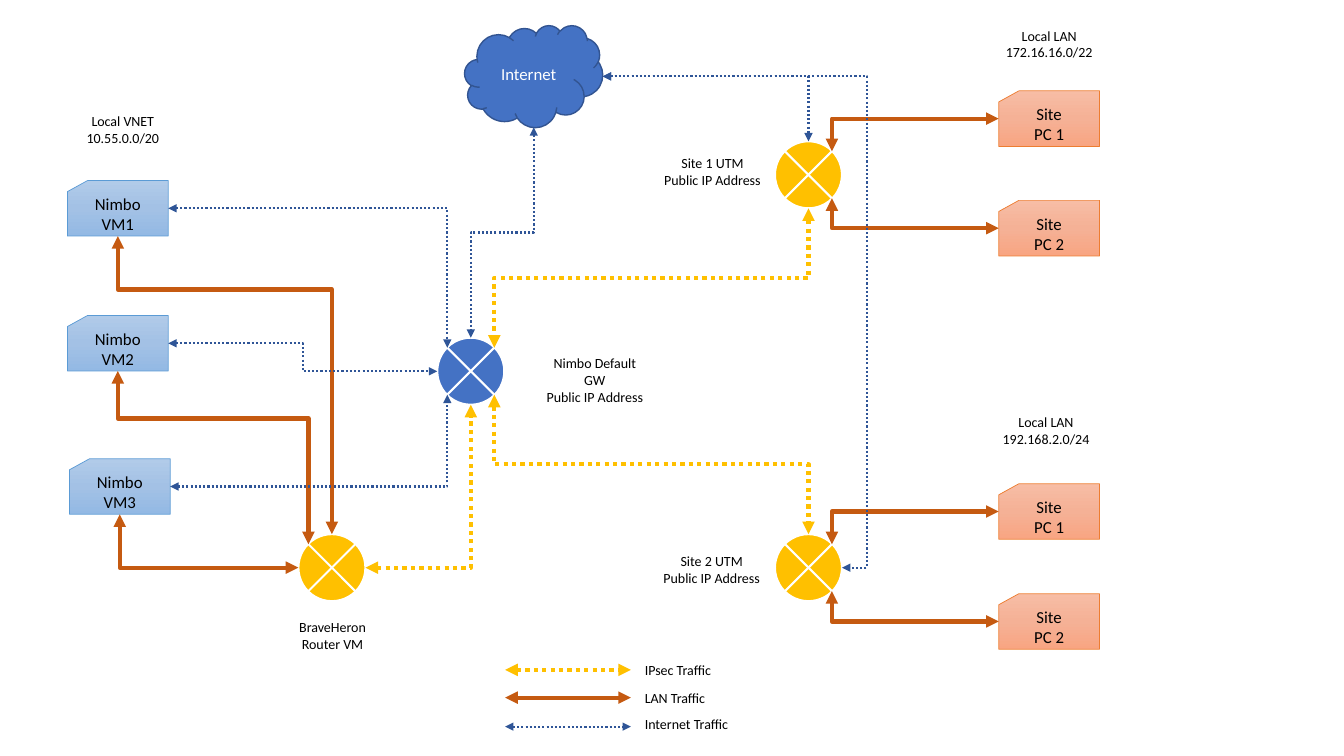
from copy import deepcopy
from dataclasses import dataclass

from lxml import etree
from pptx import Presentation
from pptx.dml.color import RGBColor
from pptx.enum.dml import MSO_LINE
from pptx.enum.shapes import MSO_CONNECTOR, MSO_SHAPE
from pptx.enum.text import MSO_ANCHOR, MSO_AUTO_SIZE, PP_ALIGN
from pptx.oxml.ns import qn
from pptx.shapes.autoshape import Shape
from pptx.shapes.connector import Connector
from pptx.shapes.shapetree import SlideShapes
from pptx.util import Cm, Pt

ROUTER, CARD, CLOUD = (
    MSO_SHAPE.FLOWCHART_SUMMING_JUNCTION,
    MSO_SHAPE.FLOWCHART_CARD,
    MSO_SHAPE.CLOUD,
)
STRAIGHT, ELBOW = MSO_CONNECTOR.STRAIGHT, MSO_CONNECTOR.ELBOW
CENTER, LEFT = PP_ALIGN.CENTER, PP_ALIGN.LEFT
MIDDLE, GROW, DOTTED = MSO_ANCHOR.MIDDLE, MSO_AUTO_SIZE.SHAPE_TO_FIT_TEXT, MSO_LINE.ROUND_DOT

FONT = "Calibri"
BLUE, YELLOW, WHITE, BLACK = "4472C4", "FFC000", "FFFFFF", "000000"
Point = tuple[float, float]


@dataclass(frozen=True)
class Box:
    left: float
    top: float
    width: float
    height: float

    def port(self, across: float, down: float) -> Point:
        return self.left + across * self.width, self.top + down * self.height


@dataclass(frozen=True)
class CardStyle:
    gradient: tuple[str, str, str]
    outline: str


@dataclass(frozen=True)
class Traffic:
    name: str
    color: str
    width: float
    dotted: bool
    legend_top: float
    label_top: float


@dataclass(frozen=True)
class Link:
    traffic: Traffic
    start: Point
    end: Point
    bend: float | None = None
    vertical: bool = False


VM_STYLE = CardStyle(("B1CBE9", "A3C1E5", "93B9E4"), "5B9BD5")
SITE_STYLE = CardStyle(("F7BDA5", "F5B196", "F8A582"), "ED7D31")
IPSEC = Traffic("IPsec Traffic", YELLOW, 3, True, 16.88, 16.54)
LAN = Traffic("LAN Traffic", "C55A11", 3, False, 17.58, 17.25)
INTERNET = Traffic("Internet Traffic", "2F5597", 1.5, True, 18.31, 17.91)

ROUTER_SIZE = 1.69
GATEWAY, SITE_1, SITE_2, ROUTER_VM = (
    Box(left, top, ROUTER_SIZE, ROUTER_SIZE)
    for left, top in ((11.02, 8.51), (19.53, 3.56), (19.53, 13.46), (7.52, 13.46))
)
VMS = [Box(left, top, 2.54, 1.4) for left, top in ((1.7, 4.55), (1.7, 7.95), (1.75, 11.56))]
SITE_PCS = [Box(25.17, top, 2.54, 1.4) for top in (2.29, 5.05, 12.19, 14.96)]
CLOUD_BOX = Box(11.71, 0.64, 3.48, 2.57)

NEAR, FAR = 0.15, 0.85
TOP, RIGHT_SIDE, BOTTOM, LEFT_SIDE = (0.5, 0), (1, 0.5), (0.5, 1), (0, 0.5)
NORTH_WEST, NORTH_EAST, SOUTH_WEST, SOUTH_EAST = (NEAR, NEAR), (FAR, NEAR), (NEAR, FAR), (FAR, FAR)

LINKS = [
    Link(LAN, ROUTER_VM.port(*LEFT_SIDE), VMS[2].port(*BOTTOM)),
    Link(LAN, VMS[1].port(*BOTTOM), ROUTER_VM.port(*NORTH_WEST), 0.274, True),
    Link(LAN, VMS[0].port(*BOTTOM), ROUTER_VM.port(*TOP), 0.179, True),
    Link(IPSEC, ROUTER_VM.port(*RIGHT_SIDE), GATEWAY.port(*BOTTOM)),
    *(
        Link(LAN, computer.port(*LEFT_SIDE), router.port(*corner))
        for computer, router, corner in zip(
            SITE_PCS, (SITE_1, SITE_1, SITE_2, SITE_2), (NORTH_EAST, SOUTH_EAST) * 2
        )
    ),
    Link(IPSEC, SITE_1.port(*BOTTOM), GATEWAY.port(*NORTH_EAST), 0.5, True),
    Link(IPSEC, GATEWAY.port(*SOUTH_EAST), SITE_2.port(*TOP), 0.5, True),
    Link(INTERNET, CLOUD_BOX.port(*BOTTOM), GATEWAY.port(*TOP), 0.5, True),
    Link(INTERNET, CLOUD_BOX.port(*RIGHT_SIDE), SITE_1.port(*TOP)),
    Link(INTERNET, CLOUD_BOX.port(*RIGHT_SIDE), SITE_2.port(*RIGHT_SIDE), 1.105),
    Link(INTERNET, VMS[0].port(*RIGHT_SIDE), GATEWAY.port(*NORTH_WEST)),
    Link(INTERNET, VMS[1].port(*RIGHT_SIDE), GATEWAY.port(*LEFT_SIDE), 0.5),
    Link(INTERNET, VMS[2].port(*RIGHT_SIDE), GATEWAY.port(*SOUTH_WEST)),
]

LABELS = [
    (Box(13.44, 8.81, 3.1, 1.12), "Nimbo Default GW\nPublic IP Address"),
    (Box(16.43, 3.78, 3.05, 1.12), "Site 1 UTM\nPublic IP Address"),
    (Box(16.41, 13.79, 3.05, 1.12), "Site 2 UTM\nPublic IP Address"),
    (Box(7.26, 15.47, 2.24, 1.12), "BraveHeron\nRouter VM"),
    (Box(25.07, 0.56, 2.74, 1.12), "Local LAN\n172.16.16.0/22"),
    (Box(24.99, 10.29, 2.74, 1.12), "Local LAN\n192.168.2.0/24"),
    (Box(1.9, 2.72, 2.39, 1.12), "Local VNET\n10.55.0.0/20"),
]


def rgb(color: str) -> RGBColor:
    return RGBColor.from_string(color)


def write(shape: Shape, text: str, size: float, color: str, alignment: PP_ALIGN) -> None:
    shape.text_frame.text = text
    for paragraph in shape.text_frame.paragraphs:
        paragraph.alignment = alignment
        paragraph.font.name = FONT
        paragraph.font.size = Pt(size)
        paragraph.font.color.rgb = rgb(color)


def add_node(shapes: SlideShapes, kind: MSO_SHAPE, box: Box, outline: str, width: float) -> Shape:
    shape = shapes.add_shape(kind, Cm(box.left), Cm(box.top), Cm(box.width), Cm(box.height))
    shape.shadow.inherit = False
    shape.line.color.rgb = rgb(outline)
    shape.line.width = Pt(width)
    shape.text_frame.vertical_anchor = MIDDLE
    return shape


def add_solid(
    shapes: SlideShapes, kind: MSO_SHAPE, box: Box, fill: str, outline: str, width: float
) -> Shape:
    shape = add_node(shapes, kind, box, outline, width)
    shape.fill.solid()
    shape.fill.fore_color.rgb = rgb(fill)
    return shape


def add_card(shapes: SlideShapes, box: Box, style: CardStyle, text: str) -> None:
    card = add_node(shapes, CARD, box, style.outline, 0.5)
    card.fill.gradient()
    card.fill.gradient_angle = 270
    stop_list = card.element.spPr.find(".//" + qn("a:gsLst"))
    stop_list.append(deepcopy(stop_list[0]))
    for stop, position, color in zip(card.fill.gradient_stops, (0, 0.5, 1), style.gradient):
        stop.position = position
        stop.color.rgb = rgb(color)
    write(card, text, 12, BLACK, CENTER)


def add_label(shapes: SlideShapes, box: Box, text: str, alignment: PP_ALIGN) -> None:
    label = shapes.add_textbox(Cm(box.left), Cm(box.top), Cm(box.width), Cm(box.height))
    label.text_frame.word_wrap = False
    label.text_frame.auto_size = GROW
    write(label, text, 10, BLACK, alignment)


def add_arrow(
    shapes: SlideShapes, kind: MSO_CONNECTOR, start: Point, end: Point, traffic: Traffic
) -> Connector:
    connector = shapes.add_connector(kind, *(Cm(value) for value in (*start, *end)))
    connector.line.color.rgb = rgb(traffic.color)
    connector.line.width = Pt(traffic.width)
    if traffic.dotted:
        connector.line.dash_style = DOTTED
    properties = connector.element.spPr
    for tip in ("a:headEnd", "a:tailEnd"):
        etree.SubElement(properties.find(qn("a:ln")), qn(tip), type="triangle")
    etree.SubElement(properties, qn("a:effectLst"))
    return connector


def add_link(shapes: SlideShapes, link: Link) -> None:
    start, end = link.start, link.end
    if link.vertical:
        middle_x, middle_y = (start[0] + end[0]) / 2, (start[1] + end[1]) / 2
        half_run, half_rise = (end[1] - start[1]) / 2, (start[0] - end[0]) / 2
        start = middle_x - half_run, middle_y - half_rise
        end = middle_x + half_run, middle_y + half_rise
    properties = add_arrow(shapes, ELBOW, start, end, link.traffic).element.spPr
    if link.vertical:
        properties.find(qn("a:xfrm")).set("rot", "5400000")
    geometry = properties.find(qn("a:prstGeom"))
    if link.bend is None:
        geometry.set("prst", "bentConnector2")
    else:
        guides = geometry.find(qn("a:avLst"))
        etree.SubElement(guides, qn("a:gd"), name="adj1", fmla=f"val {round(link.bend * 100000)}")


def main() -> None:
    presentation = Presentation()
    presentation.slide_width, presentation.slide_height = Cm(33.87), Cm(19.05)
    shapes = presentation.slides.add_slide(presentation.slide_layouts[6]).shapes

    for router, fill in ((GATEWAY, BLUE), (SITE_1, YELLOW), (SITE_2, YELLOW), (ROUTER_VM, YELLOW)):
        add_solid(shapes, ROUTER, router, fill, WHITE, 1.5)
    for number, box in enumerate(VMS, 1):
        add_card(shapes, box, VM_STYLE, f"Nimbo\vVM{number}")
    for index, box in enumerate(SITE_PCS):
        add_card(shapes, box, SITE_STYLE, f"Site\vPC {index % 2 + 1}")
    for box, text in LABELS:
        add_label(shapes, box, text, CENTER)
    cloud = add_solid(shapes, CLOUD, CLOUD_BOX, BLUE, "325491", 1)
    write(cloud, "Internet", 12, WHITE, CENTER)
    for link in LINKS:
        add_link(shapes, link)
    for traffic in (IPSEC, LAN, INTERNET):
        height = traffic.legend_top
        add_arrow(shapes, STRAIGHT, (12.73, height), (15.9, height), traffic)
        add_label(shapes, Box(16, traffic.label_top, 2.69, 0.69), traffic.name, LEFT)
    presentation.save("out.pptx")


if __name__ == "__main__":
    main()
